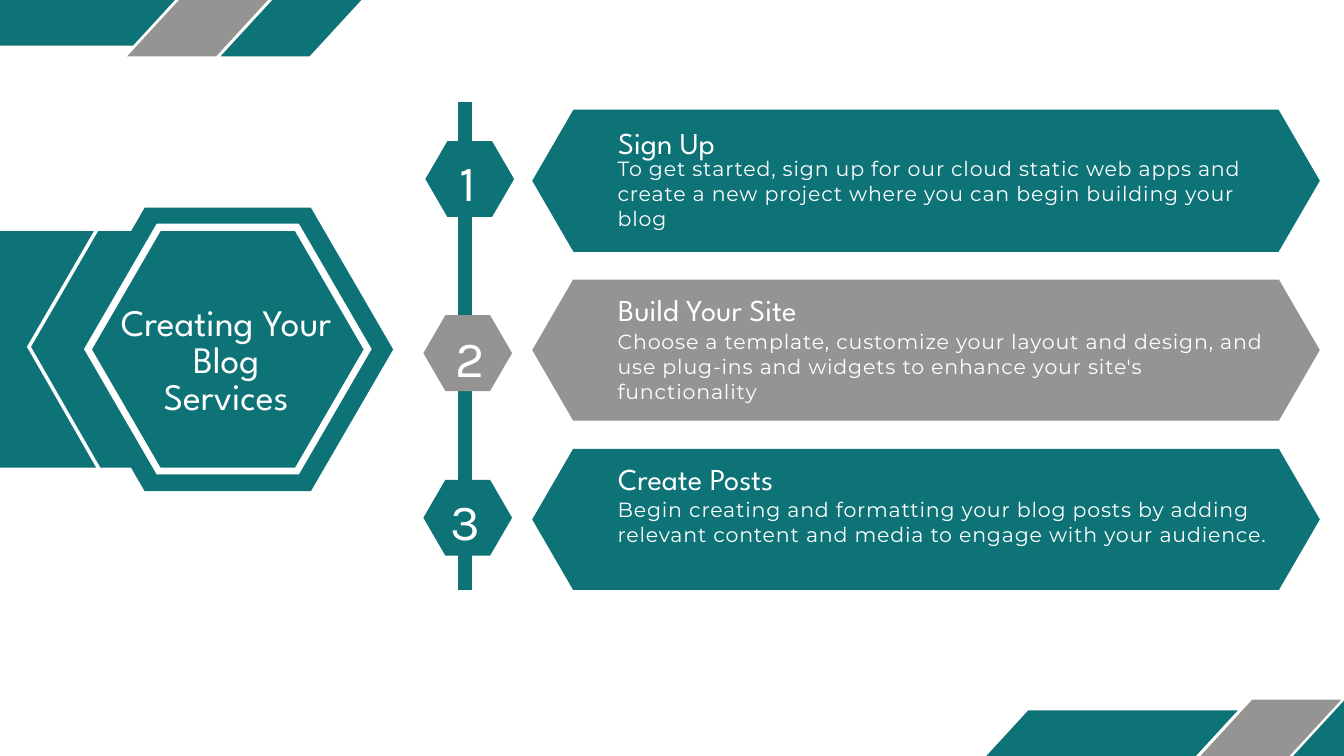
from pptx import Presentation, util as u
from pptx.dml.color import RGBColor
from pptx.enum import shapes as kinds, text as txt
from pptx.oxml import parse_xml
from pptx.oxml.ns import nsdecls

# Content
HEADING = ["Creating Your Blog", "Services"]
STEPS = [
    ("Sign Up", "To get started, sign up for our cloud static web apps and "
     "create a new project where you can begin building your blog"),
    ("Build Your Site", "Choose a template, customize your layout and design, and "
     "use plug-ins and widgets to enhance your site's functionality"),
    ("Create Posts", "Begin creating and formatting your blog posts by adding "
     "relevant content and media to engage with your audience."),
]
COLORS = {"teal": "0D7377", "gray": "969393", "white": "FFFFFF"}
STEP_COLORS = ["teal", "gray", "teal"]

# Per step: banner (top, height), badge (left, top), number (left, top), text tops
BANNERS = [(1.63, 2.12), (4.16, 2.1), (6.68, 2.1)]
BADGES = [(6.33, 2.1), (6.3, 4.69), (6.3, 7.14)]
NUMBERS = [(6.75, 2.09), (6.78, 4.72), (6.71, 7.14)]
TEXT_TOPS = [(1.76, 2.32), (4.24, 4.89), (6.76, 7.39)]

# Corner stripes: box and colour
STRIPES = [
    ((-1.14, -0.04, 3.78, 0.72), "teal"),
    ((1.89, -0.21, 2.29, 1.05), "gray"),
    ((3.28, -0.21, 2.29, 1.05), "teal"),
    ((14.64, 10.57, 3.78, 0.72), "teal"),
    ((17.67, 10.41, 2.29, 1.05), "gray"),
    ((19.05, 10.41, 2.29, 1.05), "teal"),
]
SLANT, POINT = 0.92, 0.29  # side inset as a share of the height

prs = Presentation()
prs.slide_width, prs.slide_height = u.Inches(20), u.Inches(11.25)
slide = prs.slides.add_slide(prs.slide_layouts[5])


def rgb(color):
    return RGBColor.from_string(COLORS[color])


def add_block(kind, box, color, inset=None):
    block = slide.shapes.add_shape(kind, *map(u.Inches, box))
    block.shadow.inherit = False
    block.fill.solid()
    block.fill.fore_color.rgb = rgb(color)
    block.line.fill.background()
    if inset is not None:
        block.adjustments[0] = inset
    return block


def add_line(start, end, color, width):
    line = slide.shapes.add_connector(
        kinds.MSO_CONNECTOR.STRAIGHT, *map(u.Inches, start + end))
    line.line.color.rgb = rgb(color)
    line.line.width = u.Pt(width)
    line._element.spPr.append(parse_xml(f"<a:effectLst {nsdecls('a')}/>"))


def write(lines, box, *, font, size, leading, align="LEFT", spacing=0, holder=None):
    holder = holder or slide.shapes.add_textbox(0, 0, 0, 0)
    holder.left, holder.top, holder.width, holder.height = map(u.Inches, box)
    frame = holder.text_frame
    frame.word_wrap = True
    frame.auto_size = txt.MSO_AUTO_SIZE.NONE
    frame.vertical_anchor = txt.MSO_ANCHOR.TOP
    frame.margin_left = frame.margin_right = frame.margin_top = frame.margin_bottom = 0
    for i, line in enumerate(lines):
        para = frame.add_paragraph() if i else frame.paragraphs[0]
        para.alignment = getattr(txt.PP_ALIGN, align)
        para.line_spacing = u.Pt(leading)
        para.space_before = u.Pt(0)
        run = para.add_run()
        run.text = line
        run.font.name, run.font.size = font, u.Pt(size)
        run.font.color.rgb = rgb("white")
        if spacing:
            run.font._element.set("spc", str(round(spacing * 100)))


SHAPE = kinds.MSO_SHAPE

# Corner stripes
for box, color in STRIPES:
    add_block(SHAPE.PARALLELOGRAM, box, color, SLANT)

# Heading emblem: hexagon, side band, white ring and chevron
add_block(SHAPE.HEXAGON, (0.93, 3.09, 4.92, 4.22), "teal", POINT)
add_block(SHAPE.RECTANGLE, (0, 3.44, 4.17, 3.52), "teal")
add_block(SHAPE.HEXAGON, (1.25, 3.33, 4.28, 3.73), "white", POINT)
add_block(SHAPE.HEXAGON, (1.37, 3.44, 4.04, 3.52), "teal", POINT)
add_line((1.48, 6.99), (0.43, 5.16), "white", 3.75)
add_line((0.42, 5.18), (1.48, 3.35), "white", 3.75)

# Heading, brought in front of the emblem
heading = slide.shapes.title
slide.shapes._spTree.append(heading._element)
write(HEADING, (1.51, 4.56, 3.71, 1.69), font="League Spartan", size=40,
      leading=40, align="CENTER", holder=heading)

# Timeline spine
add_line((6.92, 1.52), (6.92, 8.78), "teal", 14)

# Steps: banner, badge, number, name and description
for i, (name, description) in enumerate(STEPS):
    top, height = BANNERS[i]
    name_top, description_top = TEXT_TOPS[i]
    add_block(SHAPE.HEXAGON, (7.92, top, 11.72, height), STEP_COLORS[i], POINT)
    add_block(SHAPE.HEXAGON, (*BADGES[i], 1.32, 1.13), STEP_COLORS[i], POINT)
    write([str(i + 1)], (*NUMBERS[i], 0.43, 0.98), font="Karla", size=54.2,
          leading=75.9, align="CENTER")
    write([name], (9.2, name_top, 4.78, 1.22), font="League Spartan", size=32.5,
          leading=45.5)
    write([description], (9.19, description_top, 9.82, 1.09), font="Montserrat",
          size=22, leading=26.8, spacing=0.9)

prs.save("out.pptx")
